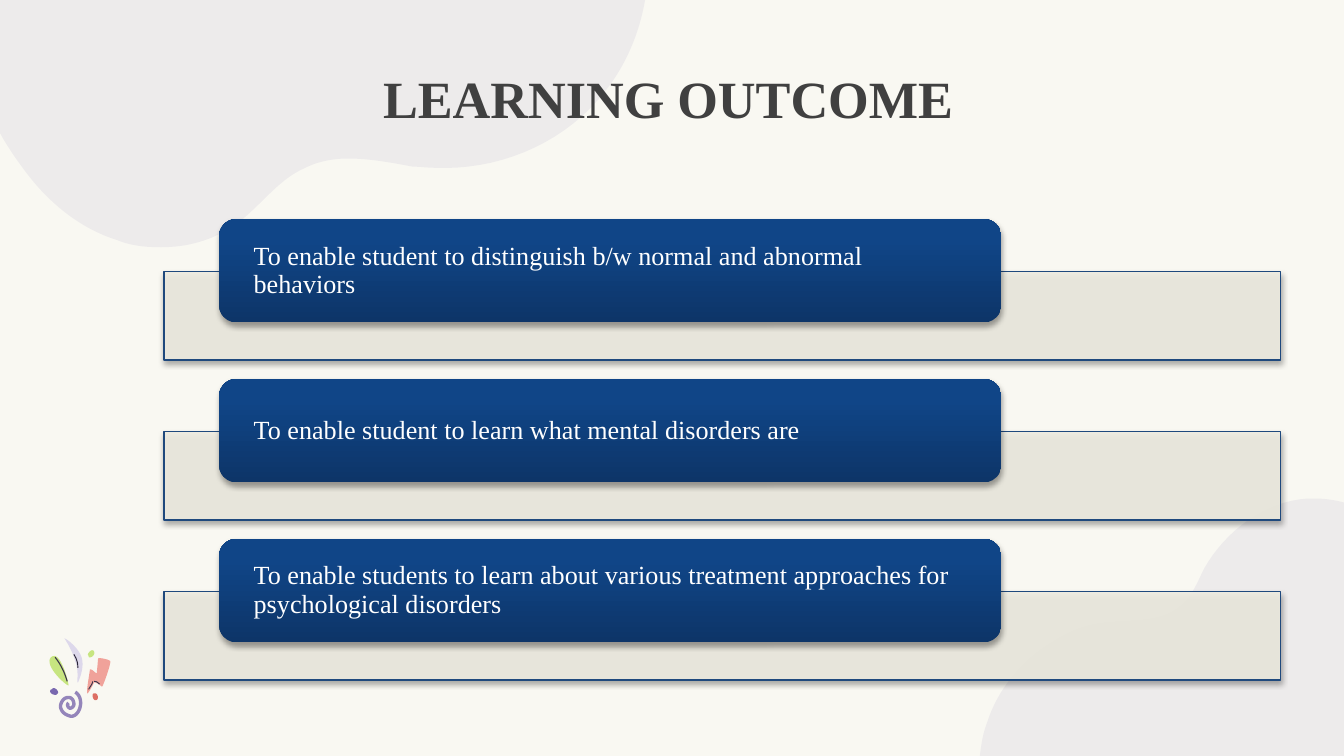
from dataclasses import dataclass
from typing import Optional

from lxml import etree
from pptx import Presentation
from pptx import util as u
from pptx.dml.color import RGBColor
from pptx.enum import shapes, text
from pptx.oxml.ns import qn

FONT = "Times New Roman"
SLIDE_WIDTH = 10
SLIDE_HEIGHT = SLIDE_WIDTH * 9 / 16
ROW_TOP, ROW_PITCH = 1.63, 1.19
BAR_LEFT, BAR_WIDTH, BAR_HEIGHT, BAR_DROP = 1.22, 8.31, 0.66, 0.39
CARD_LEFT, CARD_WIDTH, CARD_HEIGHT = 1.63, 5.82, 0.77
CURVE_STEPS = 16
CARD_STOPS = ((0, "0D3568"), (80, "104587"), (100, "0E458A"))
OUTCOMES = (
    "To enable student to distinguish b/w normal and abnormal behaviors",
    "To enable student to learn what mental disorders are",
    "To enable students to learn about various treatment approaches for psychological disorders",
)


@dataclass(frozen=True)
class Outline:
    route: str
    color: str
    opacity: int = 100
    stroke: Optional[float] = None


BLOBS = (
    Outline("M 0 0 L 0 0.99 C 0.05 1.08 0.11 1.17 0.17 1.25 C 0.35 1.5 0.59 1.7 0.88 1.79 "
            "C 0.98 1.83 1.09 1.84 1.2 1.84 C 1.39 1.84 1.58 1.79 1.74 1.68 "
            "C 1.93 1.55 2.06 1.34 2.27 1.25 C 2.37 1.2 2.48 1.18 2.59 1.18 "
            "C 2.75 1.18 2.91 1.21 3.07 1.24 C 3.12 1.24 3.17 1.25 3.31 1.25 "
            "C 3.77 1.25 4.23 1.04 4.51 0.67 C 4.66 0.48 4.76 0.24 4.8 0", "7968AF", 9),
    Outline("M 9.78 3.71 C 9.76 3.71 9.74 3.71 9.73 3.71 C 9.41 3.73 9.12 3.95 8.96 4.23 "
            "C 8.91 4.33 8.87 4.44 8.78 4.51 C 8.64 4.63 8.43 4.61 8.24 4.63 "
            "C 8.1 4.64 7.96 4.69 7.84 4.77 C 7.61 4.9 7.42 5.13 7.34 5.39 "
            "C 7.31 5.47 7.3 5.55 7.29 5.63 L 10 5.63 L 10 3.74 "
            "C 9.93 3.72 9.85 3.71 9.78 3.71", "7968AF", 9),
)
ORNAMENT = (
    Outline("M 0.38 4.89 C 0.32 4.95 0.5 5.11 0.51 5.1 C 0.51 5.08 0.45 4.83 0.38 4.89", "C7E580"),
    Outline("M 0.41 4.89 C 0.45 4.94 0.48 5 0.5 5.07", "3C354C", stroke=0.6),
    Outline("M 0.48 4.75 C 0.48 4.75 0.54 4.84 0.56 4.92 C 0.59 4.99 0.57 5.08 0.58 5.08 "
            "C 0.58 5.08 0.63 4.98 0.61 4.9 C 0.59 4.82 0.49 4.75 0.48 4.75", "DDD8EB"),
    Outline("M 0.55 4.87 C 0.57 4.9 0.58 4.93 0.58 4.97", "282435", stroke=0.5),
    Outline("M 0.82 4.92 C 0.82 4.91 0.74 4.89 0.73 4.9 C 0.73 4.91 0.72 5.01 0.72 5.01 "
            "C 0.71 5.01 0.69 4.98 0.67 4.98 C 0.67 4.99 0.64 5.15 0.65 5.16 "
            "C 0.66 5.16 0.7 5.08 0.7 5.08 C 0.71 5.07 0.76 5.11 0.76 5.11 "
            "C 0.77 5.1 0.83 4.93 0.82 4.92", "F0A29A"),
    Outline("M 0.69 5.07 C 0.69 5.09 0.67 5.11 0.66 5.13", "3C354C", stroke=0.5),
    Outline("M 0.7 5.07 C 0.72 5.07 0.73 5.08 0.74 5.09", "3C354C", stroke=0.5),
    Outline("M 0.4 5.12 C 0.39 5.12 0.39 5.13 0.38 5.13 C 0.36 5.15 0.39 5.17 0.41 5.17 "
            "C 0.42 5.17 0.42 5.17 0.43 5.16 C 0.44 5.15 0.42 5.12 0.4 5.12", "7968AF"),
    Outline("M 0.71 5.16 C 0.71 5.16 0.7 5.16 0.7 5.16 C 0.68 5.16 0.69 5.21 0.71 5.21 "
            "C 0.74 5.21 0.73 5.16 0.71 5.16", "DD6F64"),
    Outline("M 0.7 4.85 C 0.7 4.85 0.7 4.84 0.69 4.84 C 0.68 4.83 0.64 4.87 0.66 4.88 "
            "C 0.66 4.89 0.66 4.89 0.66 4.89 C 0.68 4.9 0.71 4.87 0.7 4.85", "C7E580"),
    Outline("M 0.56 5.15 C 0.59 5.17 0.6 5.2 0.6 5.23 C 0.6 5.28 0.57 5.33 0.53 5.33 "
            "C 0.48 5.32 0.45 5.29 0.45 5.25 C 0.46 5.21 0.48 5.19 0.51 5.19 "
            "C 0.54 5.19 0.55 5.22 0.55 5.24 C 0.55 5.26 0.53 5.27 0.52 5.27 "
            "C 0.5 5.26 0.5 5.24 0.51 5.23", "9485BA", stroke=1.8),
)


def rgb(color: str) -> RGBColor:
    return RGBColor.from_string(color)


def set_fill(shape, color: str, opacity: int = 100) -> None:
    shape.fill.solid()
    shape.fill.fore_color.rgb = rgb(color)
    if opacity < 100:
        color_element = shape.element.spPr.find(qn("a:solidFill"))[0]
        etree.SubElement(color_element, qn("a:alpha"), val=str(opacity * 1000))


def set_gradient(shape) -> None:
    shape.fill.gradient()
    shape.fill.gradient_angle = 90
    stops = shape.element.spPr.find(qn("a:gradFill")).find(qn("a:gsLst"))
    stops.clear()
    for position, color in CARD_STOPS:
        stop = etree.SubElement(stops, qn("a:gs"), pos=str(position * 1000))
        etree.SubElement(stop, qn("a:srgbClr"), val=color)


def add_shadow(shape) -> None:
    shape.shadow.inherit = False
    effects = shape.element.spPr.find(qn("a:effectLst"))
    shadow = etree.SubElement(effects, qn("a:outerShdw"), blurRad=str(u.Pt(3.1)),
                              dist=str(u.Pt(1.8)), dir="5400000", rotWithShape="0")
    color = etree.SubElement(shadow, qn("a:srgbClr"), val="000000")
    etree.SubElement(color, qn("a:alpha"), val="35000")


def trace(route: str) -> list[tuple[int, int]]:
    points: list[tuple[float, float]] = []
    for segment in route.replace("L", "|L").replace("C", "|C").split("|"):
        kind, *numbers = segment.split()
        values = [float(number) for number in numbers]
        ends = list(zip(values[::2], values[1::2]))
        if kind != "C":
            points += ends
            continue
        controls = [points[-1], *ends]
        for step in range(1, CURVE_STEPS + 1):
            t = step / CURVE_STEPS
            weights = ((1 - t) ** 3, 3 * t * (1 - t) ** 2, 3 * t * t * (1 - t), t ** 3)
            points.append(tuple(sum(w * c[axis] for w, c in zip(weights, controls))
                                for axis in (0, 1)))
    return [(u.Inches(x), u.Inches(min(y, SLIDE_HEIGHT))) for x, y in points]


def draw_outline(slide, outline: Outline) -> None:
    start, *others = trace(outline.route)
    builder = slide.shapes.build_freeform(*start)
    builder.add_line_segments(others, close=outline.stroke is None)
    shape = builder.convert_to_shape()
    shape.shadow.inherit = False
    if outline.stroke is None:
        set_fill(shape, outline.color, outline.opacity)
        shape.line.fill.background()
    else:
        shape.fill.background()
        shape.line.color.rgb = rgb(outline.color)
        shape.line.width = u.Pt(outline.stroke)


def format_text(frame, size: float, color: str, bold: bool, alignment) -> None:
    frame.word_wrap = True
    frame.vertical_anchor = text.MSO_ANCHOR.MIDDLE
    paragraph = frame.paragraphs[0]
    paragraph.alignment = alignment
    for run in paragraph.runs:
        run.font.name, run.font.size, run.font.bold = FONT, u.Pt(size), bold
        run.font.color.rgb = rgb(color)


def draw_outcome(slide, row: int, wording: str) -> None:
    top = ROW_TOP + row * ROW_PITCH
    bar = slide.shapes.add_shape(
        shapes.MSO_SHAPE.RECTANGLE, u.Inches(BAR_LEFT), u.Inches(top + BAR_DROP),
        u.Inches(BAR_WIDTH), u.Inches(BAR_HEIGHT))
    set_fill(bar, "EEECE1", 90)
    bar.line.color.rgb = rgb("1F497D")
    bar.line.width = u.Pt(0.75)
    add_shadow(bar)

    card = slide.shapes.add_shape(
        shapes.MSO_SHAPE.ROUNDED_RECTANGLE, u.Inches(CARD_LEFT), u.Inches(top),
        u.Inches(CARD_WIDTH), u.Inches(CARD_HEIGHT))
    set_gradient(card)
    card.line.fill.background()
    add_shadow(card)
    frame = card.text_frame
    frame.text = wording
    frame.margin_left = frame.margin_right = u.Inches(0.22)
    frame.margin_top = frame.margin_bottom = 0
    format_text(frame, 14, "FFFFFF", False, text.PP_ALIGN.LEFT)
    frame.paragraphs[0].line_spacing = 0.9


def draw_title(slide) -> None:
    title = slide.shapes.title
    title.left, title.top = u.Inches(1.59), u.Inches(0.39)
    title.width, title.height = u.Inches(6.76), u.Inches(0.68)
    title.text_frame.text = "LEARNING OUTCOME"
    format_text(title.text_frame, 28, "404040", True, text.PP_ALIGN.CENTER)
    title.element.getparent().append(title.element)


def main() -> None:
    presentation = Presentation()
    presentation.slide_width = u.Inches(SLIDE_WIDTH)
    presentation.slide_height = u.Inches(SLIDE_HEIGHT)
    slide = presentation.slides.add_slide(presentation.slide_layouts[5])
    slide.background.fill.solid()
    slide.background.fill.fore_color.rgb = rgb("F9F8F2")
    for outline in BLOBS + ORNAMENT:
        draw_outline(slide, outline)
    draw_title(slide)
    for row, wording in enumerate(OUTCOMES):
        draw_outcome(slide, row, wording)
    presentation.save("out.pptx")


if __name__ == "__main__":
    main()
